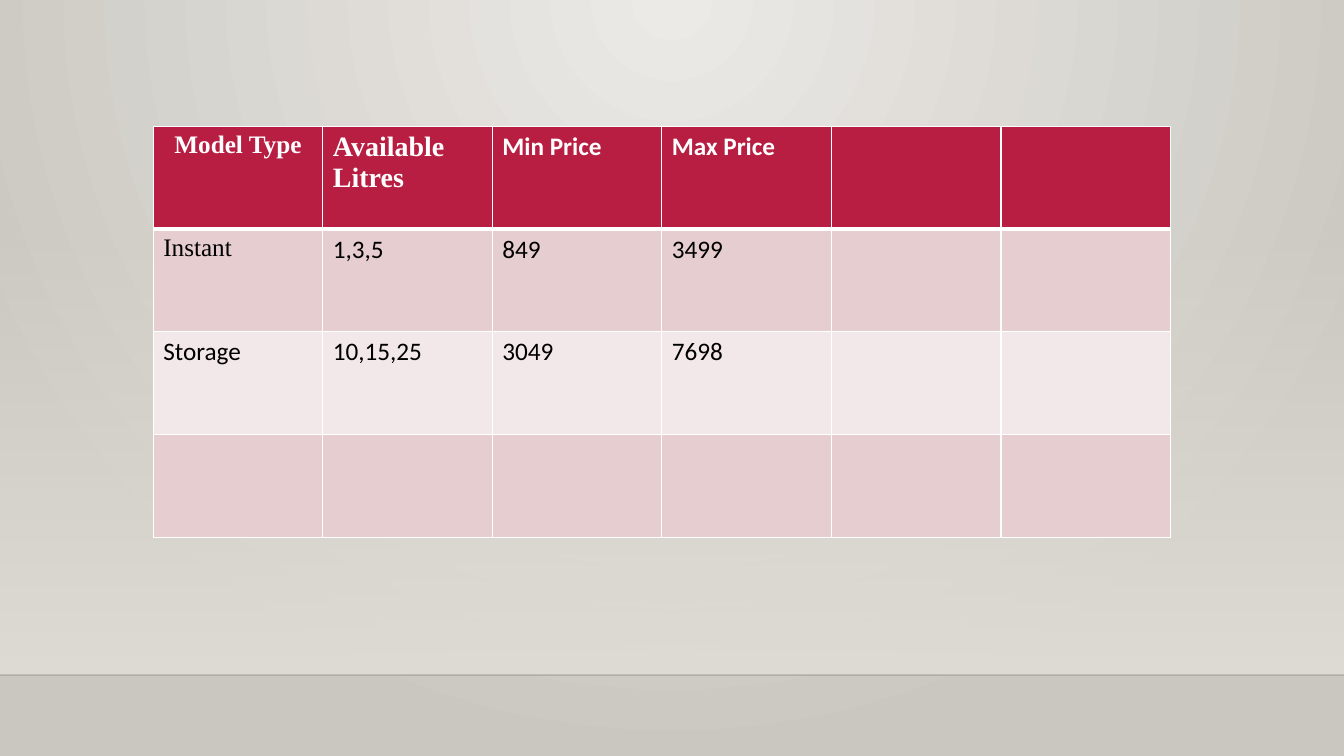
from lxml import etree
from pptx import Presentation
from pptx.dml.color import RGBColor
from pptx.enum.shapes import MSO_CONNECTOR, MSO_SHAPE
from pptx.enum.text import PP_ALIGN
from pptx.oxml import parse_xml
from pptx.oxml.ns import nsdecls, qn
from pptx.util import Inches, Pt

CENTER, LEFT = PP_ALIGN.CENTER, PP_ALIGN.LEFT
RECTANGLE, STRAIGHT = MSO_SHAPE.RECTANGLE, MSO_CONNECTOR.STRAIGHT
WIDTH, HEIGHT = Inches(13.33), Inches(7.5)
SERIF, SANS = "Times New Roman", "Calibri"
COLORS = {
    "glow": "ECEAE7", "edge": "CAC7C1", "wall": "DFDBD5", "floor_line": "000001",
    "header": "B71E42", "band": "E6CDCF", "plain": "F3E8E9",
    "white": "FFFFFF", "black": "000000",
}
FLOOR = 0.893
CIRCLE = ('<a:path path="circle">'
          '<a:fillToRect l="43000" t="0" r="43000" b="100000"/></a:path>')
DOWNWARD = '<a:lin ang="5400000" scaled="0"/>'
ROWS = [
    ["Model Type", "Available Litres", "Min Price", "Max Price", "", ""],
    ["Instant", "1,3,5", "849", "3499", "", ""],
    ["Storage", "10,15,25", "3049", "7698", "", ""],
    [""] * 6,
]
ROW_FILLS = ["header", "band", "plain", "band"]
SPECIAL_FORMATS = {
    (0, 0): {"font": SERIF, "align": CENTER},
    (0, 1): {"font": SERIF, "size": 20},
    (1, 0): {"font": SERIF},
}


def rgb(name):
    return RGBColor.from_string(COLORS[name])


def gradient(stops, direction):
    """Return a gradient fill from (position, colour, opacity) in percent."""
    marks = "".join(
        f'<a:gs pos="{position * 1000}"><a:srgbClr val="{COLORS[color]}">'
        f'<a:alpha val="{opacity * 1000}"/></a:srgbClr></a:gs>'
        for position, color, opacity in stops)
    return parse_xml(f'<a:gradFill {nsdecls("a")} rotWithShape="1">'
                     f'<a:gsLst>{marks}</a:gsLst>{direction}</a:gradFill>')


def replace_solid(owner, fill):
    solid = owner.find(qn("a:solidFill"))
    owner.replace(solid, fill)


def write(frame, text, font=SANS, size=18, color="black", bold=False, align=LEFT):
    para = frame.paragraphs[0]
    para.alignment = align
    span = para.add_run()
    span.text = text
    span.font.name = font
    span.font.size = Pt(size)
    span.font.bold = bold
    span.font.color.rgb = rgb(color)


class PageBuilder:
    """Places elements by shares of the page width and height."""

    def __init__(self, deck):
        self.page = deck.slides.add_slide(deck.slide_layouts[6])

    def background(self, stops, direction):
        self.page.background.fill.solid()
        holder = self.page.element.find(".//" + qn("p:bgPr"))
        replace_solid(holder, gradient(stops, direction))

    def panel(self, left, top, width, height, stops):
        box = self.page.shapes.add_shape(
            RECTANGLE, int(WIDTH * left), int(HEIGHT * top),
            int(WIDTH * width), int(HEIGHT * height))
        box.shadow.inherit = False
        box.line.fill.background()
        box.fill.solid()
        replace_solid(box.element.spPr, gradient(stops, DOWNWARD))

    def rule(self, top, color, weight, opacity):
        y = int(HEIGHT * top)
        line = self.page.shapes.add_connector(STRAIGHT, 0, y, WIDTH, y)
        line.line.color.rgb = rgb(color)
        line.line.width = Pt(weight)
        properties = line.element.spPr
        tint = properties.find(".//" + qn("a:srgbClr"))
        etree.SubElement(tint, qn("a:alpha")).set("val", str(opacity * 1000))
        etree.SubElement(properties, qn("a:effectLst"))

    def borders(self, cell, **weights):
        """Draw white borders; they must precede the fill in the cell."""
        properties = cell._tc.get_or_add_tcPr()
        for index, (side, weight) in enumerate(weights.items()):
            properties.insert(index, parse_xml(
                f'<a:{side} {nsdecls("a")} w="{Pt(weight)}"><a:solidFill>'
                f'<a:srgbClr val="{COLORS["white"]}"/></a:solidFill></a:{side}>'))

    def table(self, left, top, width, height, rows):
        table = self.page.shapes.add_table(
            len(rows), len(rows[0]), int(WIDTH * left), int(HEIGHT * top),
            int(WIDTH * width), int(HEIGHT * height)).table
        table.first_row = table.horz_banding = False
        for r, row in enumerate(rows):
            header = r == 0
            for c, text in enumerate(row):
                cell = table.cell(r, c)
                cell.fill.solid()
                cell.fill.fore_color.rgb = rgb(ROW_FILLS[r])
                self.borders(cell, lnL=1, lnR=1, lnT=3 if r == 1 else 1,
                             lnB=3 if header else 1)
                if text:
                    write(cell.text_frame, text, bold=header,
                          color="white" if header else "black",
                          **SPECIAL_FORMATS.get((r, c), {}))


def main():
    deck = Presentation()
    deck.slide_width, deck.slide_height = WIDTH, HEIGHT
    builder = PageBuilder(deck)
    builder.background([(0, "glow", 100), (100, "edge", 100)], CIRCLE)
    builder.panel(0, 0.295, 1, FLOOR - 0.295, [(0, "wall", 0), (100, "wall", 100)])
    builder.rule(FLOOR, "floor_line", 1, 20)
    builder.table(0.114, 0.167, 0.757, 0.544, ROWS)
    deck.save("out.pptx")


if __name__ == "__main__":
    main()
